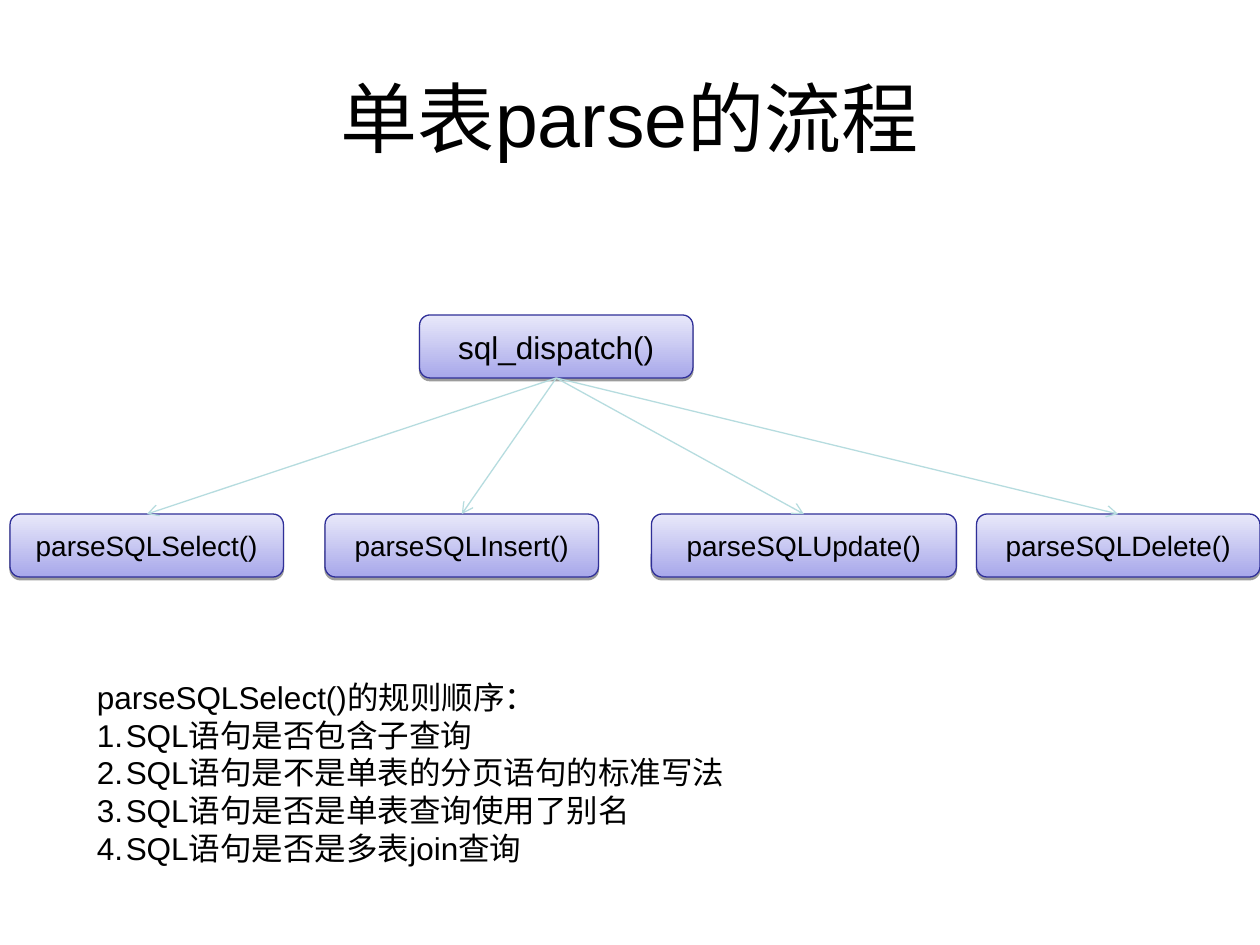
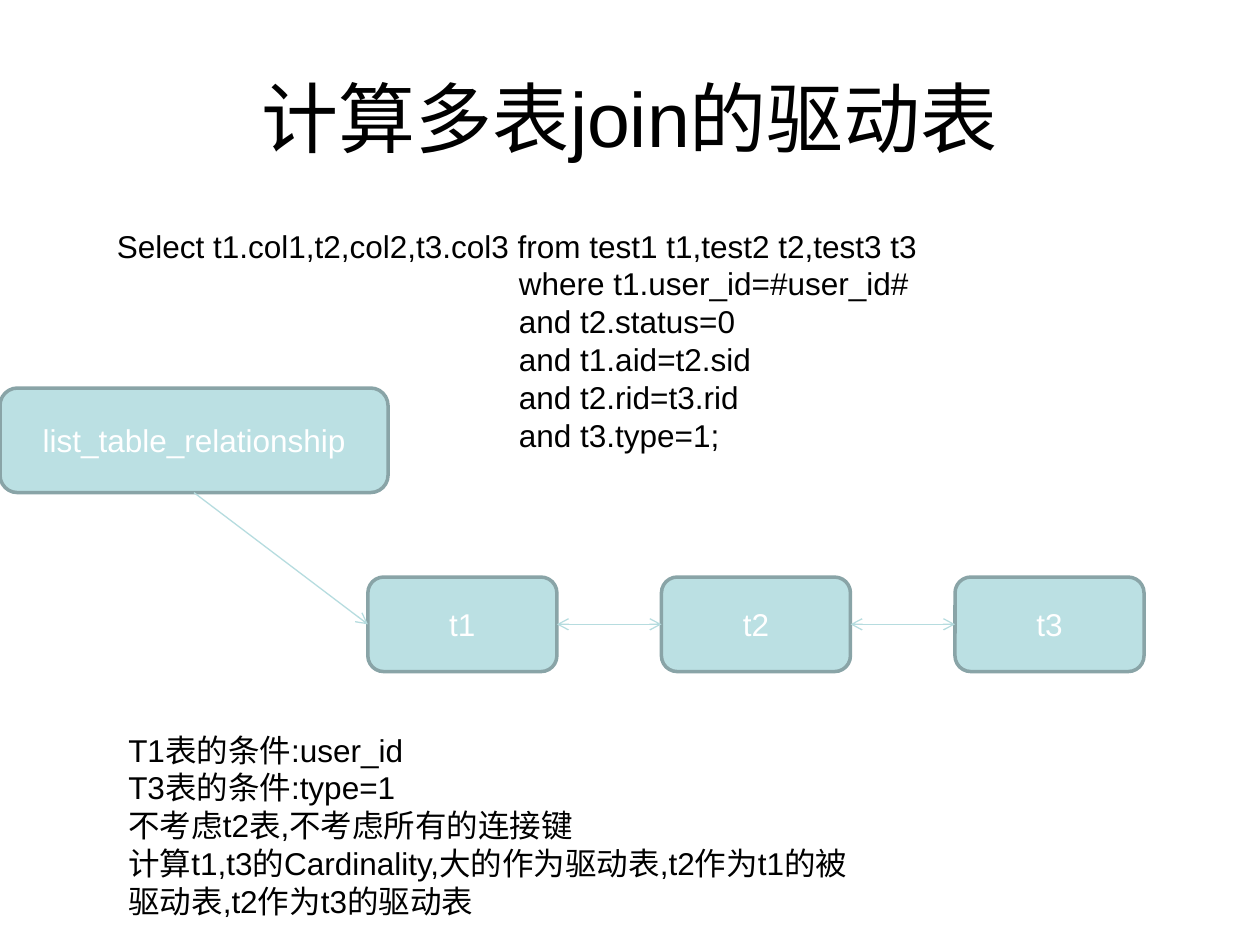
"""Build two slides on how single and joined tables are parsed."""
from lxml import etree
from pptx import Presentation
from pptx import util as u
from pptx.dml.color import RGBColor
from pptx.enum import shapes, text
from pptx.oxml import ns

BLACK = RGBColor(0x00, 0x00, 0x00)
WHITE = RGBColor(0xFF, 0xFF, 0xFF)
DUSK = RGBColor(0xA8, 0xA8, 0xEA)
MIST = RGBColor(0xE8, 0xE8, 0xFA)
NAVY = RGBColor(0x2F, 0x2F, 0x98)
AQUA = RGBColor(0xBB, 0xE0, 0xE3)
SLATE = RGBColor(0x89, 0xA4, 0xA7)
TEAL = RGBColor(0xB6, 0xDC, 0xDF)

TOP, LEFT, BASE, RIGHT = range(4)
FRAME = {
    "word_wrap": True,
    "margin_left": u.Inches(0.1),
    "margin_right": u.Inches(0.1),
    "margin_top": u.Inches(0.05),
    "margin_bottom": u.Inches(0.05),
}
MIDDLE = {**FRAME, "vertical_anchor": text.MSO_ANCHOR.MIDDLE}

RULES = [
    "SQL语句是否包含子查询",
    "SQL语句是不是单表的分页语句的标准写法",
    "SQL语句是否是单表查询使用了别名",
    "SQL语句是否是多表join查询",
]
CLAUSES = [
    "where t1.user_id=#user_id#",
    "and t2.status=0",
    "and t1.aid=t2.sid",
    "and t2.rid=t3.rid",
    "and t3.type=1;",
]
QUERY = ["Select t1.col1,t2,col2,t3.col3 from test1 t1,test2 t2,test3 t3"]
QUERY += [" " * 46 + clause for clause in CLAUSES]
NOTES = [
    "T1表的条件:user_id",
    "T3表的条件:type=1",
    "不考虑t2表,不考虑所有的连接键",
    "计算t1,t3的Cardinality,大的作为驱动表,t2作为t1的被驱动表,t2作为t3的驱动表",
]


def put(item, values):
    """Set each named value on an object."""
    for name, value in values.items():
        setattr(item, name, value)


def add(parent, tag, **attrs):
    """Append a drawing element with the given attributes."""
    node = etree.SubElement(parent, ns.qn(f"a:{tag}"))
    for name, value in attrs.items():
        node.set(name, str(value))
    return node


def span(*box):
    """Turn numbers into lengths in inches."""
    return [u.Inches(side) for side in box]


def style(para, size, color, align=None):
    """Give a paragraph its font and alignment."""
    put(para.font, {"name": "Arial", "size": u.Pt(size)})
    para.font.color.rgb = color
    para.alignment = align


def head(deck, words):
    """Add a slide with its centred title."""
    slide = deck.slides.add_slide(deck.slide_layouts[5])
    title = slide.shapes.title
    names = ("left", "top", "width", "height")
    put(title, dict(zip(names, span(0.5, 0.3, 9, 1.25))))
    title.text_frame.text = words
    put(title.text_frame, MIDDLE)
    style(title.text_frame.paragraphs[0], 44, BLACK, text.PP_ALIGN.CENTER)
    return slide


def prose(slide, box, lines):
    """Add a box of plain lines and return its paragraphs."""
    frame = slide.shapes.add_textbox(*span(*box)).text_frame
    put(frame, FRAME)
    frame.text = "\n".join(lines)
    for para in frame.paragraphs:
        style(para, 18, BLACK)
    return frame.paragraphs


def node(slide, box, words, size, ink, edge, width):
    """Add a rounded box with a centred label."""
    shape = slide.shapes.add_shape(
        shapes.MSO_SHAPE.ROUNDED_RECTANGLE, *span(*box))
    shape.shadow.inherit = False
    shape.line.color.rgb = edge
    shape.line.width = u.Pt(width)
    shape.text_frame.text = words
    put(shape.text_frame, MIDDLE)
    style(shape.text_frame.paragraphs[0], size, ink, text.PP_ALIGN.CENTER)
    return shape


def call(slide, box, words, size=16):
    """Add a shaded box that names a function."""
    shape = node(slide, box, words, size, BLACK, NAVY, 0.75)
    shape.fill.gradient()
    shape.fill.gradient_angle = 90
    for stop, color in zip(shape.fill.gradient_stops, (DUSK, MIST)):
        stop.color.rgb = color
    effect = shape.element.spPr.find(ns.qn("a:effectLst"))
    cast = add(effect, "outerShdw", blurRad=0, dist=u.Pt(1.6),
               dir=5400000, rotWithShape=0)
    add(add(cast, "srgbClr", val=BLACK), "alpha", val=38000)
    return shape


def table(slide, box, words):
    """Add a flat box that names a table."""
    shape = node(slide, box, words, 18, WHITE, SLATE, 2)
    shape.fill.solid()
    shape.fill.fore_color.rgb = AQUA
    return shape


def arrow(slide, start, out, end, into, ends=("tailEnd",)):
    """Join two boxes with an open arrow."""
    line = slide.shapes.add_connector(
        shapes.MSO_CONNECTOR.STRAIGHT, 0, 0, 0, 0)
    line.begin_connect(start, out)
    line.end_connect(end, into)
    line.line.color.rgb = TEAL
    line.line.width = u.Pt(0.75)
    for tag in ends:
        add(line.line._get_or_add_ln(), tag, type="arrow")
    add(line.element.spPr, "effectLst")


def tree(slide, x, y):
    """Draw the dispatcher above the four parsers it calls."""
    root = call(slide, (x + 3.25, y, 2.17, 0.5), "sql_dispatch()", 18)
    spots = [("Select", 0, 2.17), ("Insert", 2.5, 2.17),
             ("Update", 5.09, 2.42), ("Delete", 7.67, 2.25)]
    for verb, gap, width in spots:
        leaf = call(slide, (x + gap, y + 1.58, width, 0.5),
                    f"parseSQL{verb}()")
        arrow(slide, root, BASE, leaf, TOP)


def steps(slide, box):
    """List the numbered rules under their heading."""
    paras = prose(slide, box, ["parseSQLSelect()的规则顺序：", *RULES])
    for para in paras[1:]:
        props = para._p.get_or_add_pPr()
        props.set("marL", str(u.Inches(0.23)))
        props.set("indent", str(u.Inches(-0.23)))
        mark = etree.Element(ns.qn("a:buAutoNum"), type="arabicPeriod")
        props.insert(0, mark)


def chain(slide, x, y):
    """Draw the relation list and the linked tables after it."""
    last = None
    root = table(slide, (x, y, 3.08, 0.83), "list_table_relationship")
    for i in range(3):
        link = table(slide, (x + 2.92 + 2.33 * i, y + 1.5, 1.5, 0.75),
                     f"t{i + 1}")
        if last:
            arrow(slide, last, RIGHT, link, LEFT, ("headEnd", "tailEnd"))
        else:
            arrow(slide, root, BASE, link, LEFT)
        last = link


def main():
    """Build and save the deck."""
    deck = Presentation()
    put(deck, {"slide_width": u.Inches(10), "slide_height": u.Inches(7.5)})
    slide = head(deck, "单表parse的流程")
    tree(slide, 0.08, 2.5)
    steps(slide, (0.67, 5.33, 8, 1.6))
    slide = head(deck, "计算多表join的驱动表")
    prose(slide, (0.83, 1.75, 8.08, 1.9), QUERY)
    chain(slide, 0, 3.08)
    prose(slide, (0.92, 5.75, 6, 1.6), NOTES)
    deck.save("out.pptx")


if __name__ == "__main__":
    main()
